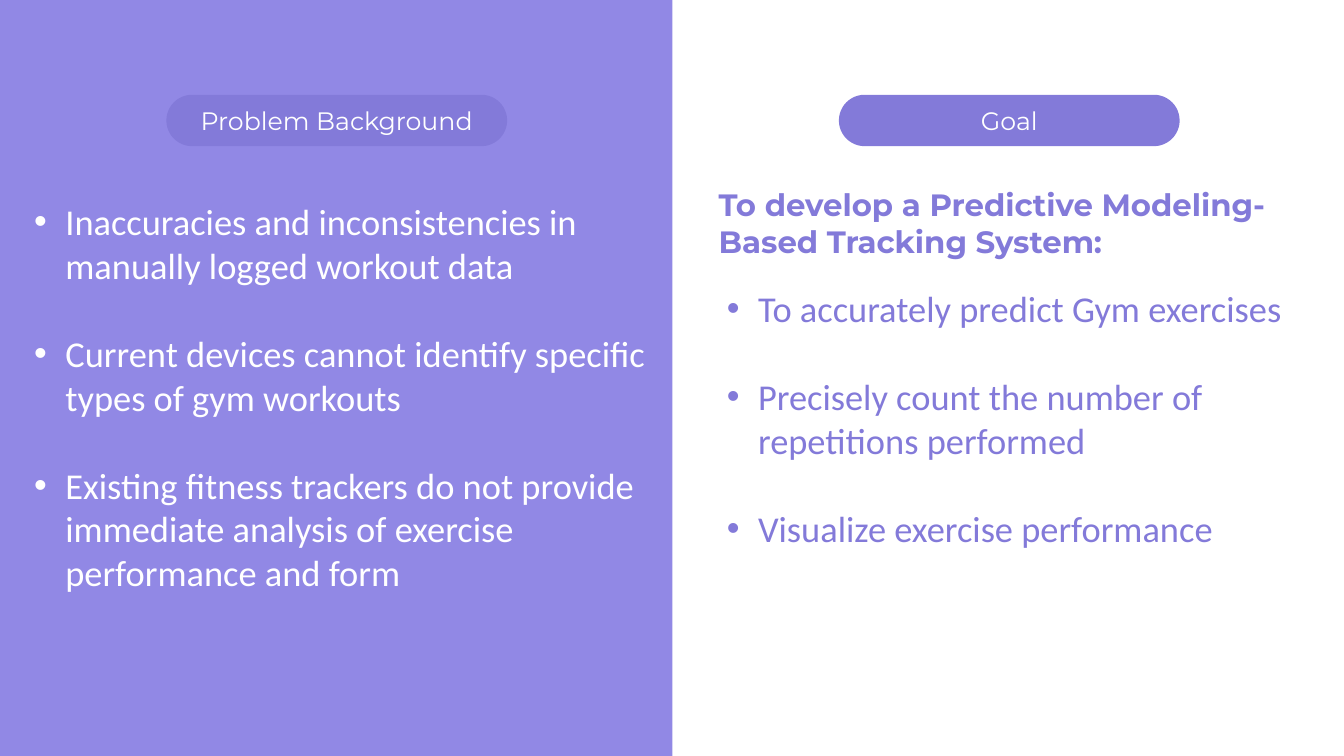
from pptx import Presentation
from pptx.dml.color import RGBColor
from pptx.enum.shapes import MSO_SHAPE
from pptx.enum.text import MSO_ANCHOR, PP_ALIGN
from pptx.oxml.ns import qn
from pptx.util import Inches, Pt
from lxml import etree

WHITE = RGBColor(0xFF, 0xFF, 0xFF)
LAVENDER = RGBColor(0x91, 0x88, 0xE5)
VIOLET = RGBColor(0x83, 0x7A, 0xD9)

PROBLEMS = [
    "Inaccuracies and inconsistencies in manually logged workout data",
    "Current devices cannot identify specific types of gym workouts",
    "Existing fitness trackers do not provide immediate analysis of exercise performance and form",
]
GOALS = [
    "To accurately predict Gym exercises",
    "Precisely count the number of repetitions performed",
    "Visualize exercise performance",
]


def style_font(para, name, size, color, bold=False):
    para.font.name = name
    para.font.size = Pt(size)
    para.font.color.rgb = color
    para.font.bold = bold


def add_filled_shape(page, kind, left, top, width, height, color):
    shape = page.shapes.add_shape(
        kind, Inches(left), Inches(top), Inches(width), Inches(height))
    shape.shadow.inherit = False
    shape.fill.solid()
    shape.fill.fore_color.rgb = color
    shape.line.fill.background()
    return shape


def add_pill(page, left, label):
    pill = add_filled_shape(
        page, MSO_SHAPE.ROUNDED_RECTANGLE, left, 0.94, 3.38, 0.51, VIOLET)
    pill.adjustments[0] = 0.5
    frame = pill.text_frame
    frame.vertical_anchor = MSO_ANCHOR.MIDDLE
    para = frame.paragraphs[0]
    para.text = label
    para.alignment = PP_ALIGN.CENTER
    style_font(para, "Montserrat", 18, WHITE)


def add_text_frame(page, left, top, width, height):
    box = page.shapes.add_textbox(
        Inches(left), Inches(top), Inches(width), Inches(height))
    box.text_frame.word_wrap = True
    return box.text_frame


def add_heading(page, left, top, width, height, text):
    para = add_text_frame(page, left, top, width, height).paragraphs[0]
    para.text = text
    style_font(para, "Montserrat", 22, VIOLET, bold=True)


def set_bullet(para):
    properties = para._p.get_or_add_pPr()
    properties.set("marL", str(Inches(0.31)))
    properties.set("indent", str(-Inches(0.31)))
    etree.SubElement(properties, qn("a:buFont")).set("typeface", "Arial")
    etree.SubElement(properties, qn("a:buChar")).set("char", "•")


def add_bullets(page, left, top, width, height, items, color):
    """Add a bulleted list with one line's height between items."""
    frame = add_text_frame(page, left, top, width, height)
    for index, item in enumerate(items):
        para = frame.add_paragraph() if index else frame.paragraphs[0]
        para.text = item
        if index:
            para.space_before = Pt(31.7)
        set_bullet(para)
        style_font(para, "Calibri", 26, color)


def main():
    deck = Presentation()
    deck.slide_width = Inches(13.33)
    deck.slide_height = Inches(7.5)
    page = deck.slides.add_slide(deck.slide_layouts[6])

    add_filled_shape(page, MSO_SHAPE.RECTANGLE, 0, 0, 6.67, 7.5, LAVENDER)
    add_pill(page, 1.65, "Problem Background")
    add_bullets(page, 0.24, 1.93, 6.28, 4.78, PROBLEMS, WHITE)

    add_pill(page, 8.32, "Goal")
    add_heading(page, 7.03, 1.79, 6.17, 0.84,
                "To develop a Predictive Modeling-Based Tracking System:")
    add_bullets(page, 7.11, 2.79, 5.89, 3.03, GOALS, VIOLET)

    deck.save("out.pptx")


if __name__ == "__main__":
    main()
